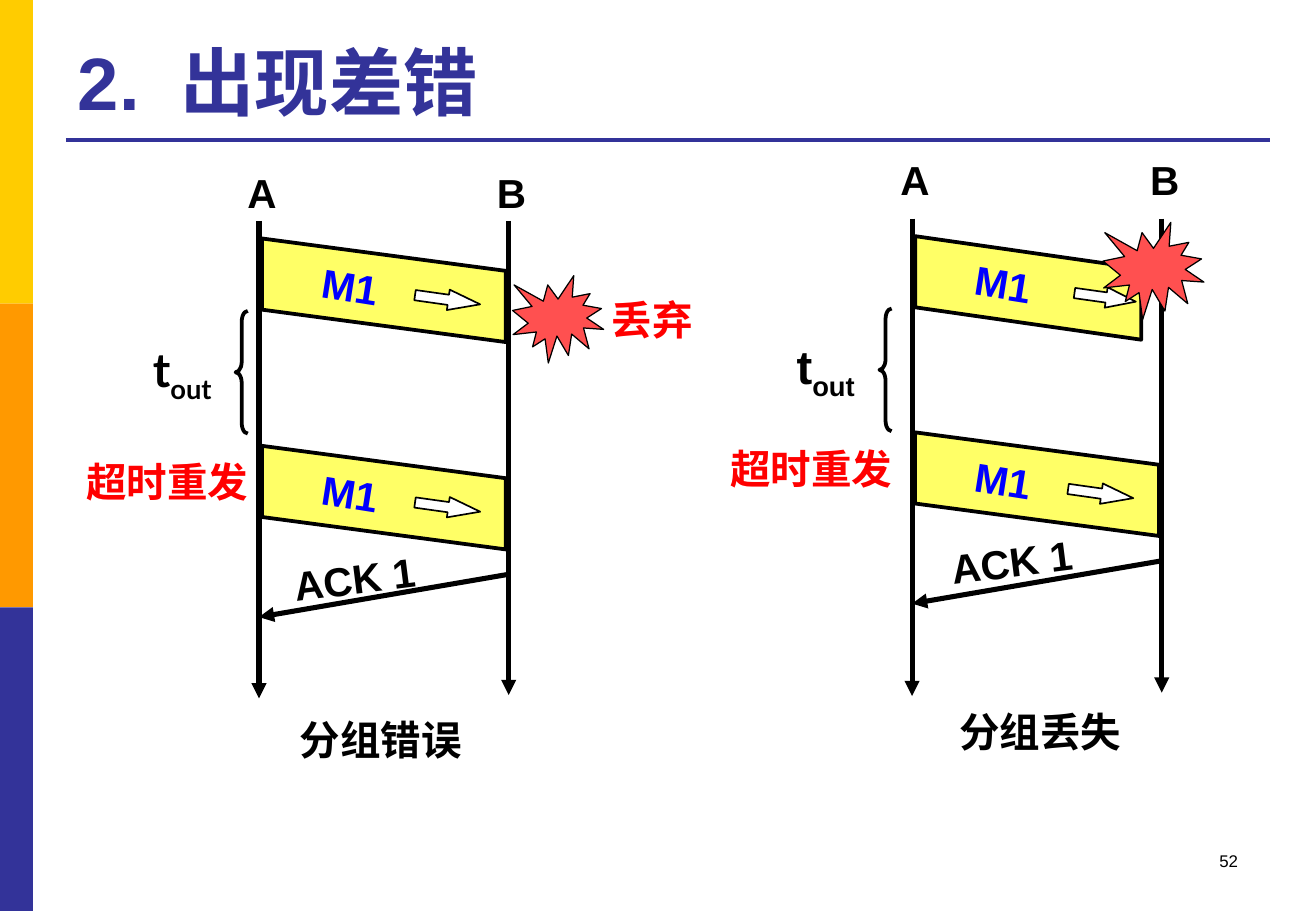
"""Build the slide on packet errors and losses in stop-and-wait transfer."""
from lxml.etree import SubElement
from pptx import Presentation
from pptx.dml.color import RGBColor
from pptx.enum.shapes import MSO_CONNECTOR, MSO_SHAPE
from pptx.enum.text import MSO_ANCHOR, MSO_AUTO_SIZE, PP_ALIGN
from pptx.oxml.ns import qn
from pptx.util import Pt

COLORS = {
    "black": "000000", "white": "FFFFFF", "navy": "333399", "gold": "FFCC00",
    "orange": "FF9900", "packet": "FFFF66", "message": "0000FF",
    "alert": "FF0000", "burst": "FF5050",
}
LATIN = "Arial"
CHINESE = "Noto Sans CJK SC"


def rgb(name):
    """Return the named colour."""
    return RGBColor.from_string(COLORS[name])


def add_text(slide, text, left, top, width, height, *, size=24, color="black",
             bold=True, font=LATIN, align=PP_ALIGN.LEFT, anchor=MSO_ANCHOR.TOP,
             rotation=0, wrap=False, subscript="", tab=None):
    """Add a text box, with an optional subscript and tab stop."""
    box = slide.shapes.add_textbox(Pt(left), Pt(top), Pt(width), Pt(height))
    box.rotation = rotation
    frame = box.text_frame
    frame.word_wrap = wrap
    frame.auto_size = MSO_AUTO_SIZE.NONE if wrap else MSO_AUTO_SIZE.SHAPE_TO_FIT_TEXT
    frame.vertical_anchor = anchor
    paragraph = frame.paragraphs[0]
    paragraph.alignment = align
    if tab:
        stops = SubElement(paragraph._p.get_or_add_pPr(), qn("a:tabLst"))
        SubElement(stops, qn("a:tab"), pos=str(Pt(tab)), algn="l")
    for part, baseline in ((text, None), (subscript, "-25000")):
        if not part:
            continue
        run = paragraph.add_run()
        run.text = part
        run.font.size = Pt(size)
        run.font.bold = bold
        run.font.name = font
        run.font.color.rgb = rgb(color)
        properties = run._r.get_or_add_rPr()
        SubElement(properties, qn("a:ea"), typeface=CHINESE)
        if baseline:
            properties.set("baseline", baseline)


def paint(shape, fill, outline):
    """Set fill and outline width, either of which may be None."""
    shape.shadow.inherit = False
    if fill:
        shape.fill.solid()
        shape.fill.fore_color.rgb = rgb(fill)
    else:
        shape.fill.background()
    if outline:
        shape.line.color.rgb = rgb("black")
        shape.line.width = Pt(outline)
    else:
        shape.line.fill.background()


def add_figure(slide, preset, left, top, width, height, *, fill=None,
               outline=None, rotation=0, adjustments=()):
    """Add a preset shape."""
    figure = slide.shapes.add_shape(preset, Pt(left), Pt(top), Pt(width), Pt(height))
    figure.rotation = rotation
    for index, value in enumerate(adjustments):
        figure.adjustments[index] = value
    paint(figure, fill, outline)


def add_line(slide, x1, y1, x2, y2, *, color="black", width=3, arrow=True):
    """Add a straight line, with an arrowhead at its end if wanted."""
    line = slide.shapes.add_connector(
        MSO_CONNECTOR.STRAIGHT, Pt(x1), Pt(y1), Pt(x2), Pt(y2))
    line.line.color.rgb = rgb(color)
    line.line.width = Pt(width)
    if arrow:
        SubElement(line.line._get_or_add_ln(), qn("a:tailEnd"), type="triangle")
    SubElement(line._element.spPr, qn("a:effectLst"))


def add_packet(slide, left, top, *, width=144.5, arrow_left=90.5,
               arrow_width=39, arrow_tip=1.565):
    """Add a slanted packet M1 with its direction arrow."""
    right, slant, side = left + width, 19.2, 42.2
    builder = slide.shapes.build_freeform(Pt(left), Pt(top), scale=1.0)
    builder.add_line_segments([
        (Pt(right), Pt(top + slant)), (Pt(right), Pt(top + slant + side)),
        (Pt(left), Pt(top + side))], close=True)
    paint(builder.convert_to_shape(), "packet", 2.25)
    add_figure(slide, MSO_SHAPE.RIGHT_ARROW, left + arrow_left, top + 30.2,
               arrow_width, 12.2, fill="white", outline=1, rotation=8,
               adjustments=(0.5, arrow_tip))
    add_text(slide, "M1", left + 28.5, top + 10.1, 48.2, 36,
             color="message", rotation=9)


def add_exchange(slide, caption, *, left, top, names_top, resend_top, timer_left,
                 timer_width, timer_font, resend_font, ack_at, caption_at,
                 first_packet):
    """Add one exchange between A and B with timeout and resend."""
    span = 148
    for name, x, length in (("A", left, 283), ("B", left + span, 281)):
        add_line(slide, x, top, x, top + length)
        add_text(slide, name, x - 14, names_top, 31.7, 36)
    add_packet(slide, left + 1.8, top + 10.4, **first_packet)
    add_packet(slide, left + 1.8, resend_top)
    add_line(slide, left + span - 1, resend_top + 76.3, left, resend_top + 101.5)
    add_text(slide, "ACK 1", *ack_at, 87.1, 36.7, rotation=352.8)
    add_text(slide, "超时重发", timer_left - 95.5, resend_top + 3.3, 110.9, 36,
             color="alert", font=resend_font)
    add_figure(slide, MSO_SHAPE.LEFT_BRACE, timer_left, top + 53.3, 7.2, 72.7,
               outline=2.25, adjustments=(0.869, 0.5))
    add_text(slide, "t", timer_left - 56.2, top + 67, timer_width, 41,
             size=28, font=timer_font, subscript="out")
    add_text(slide, caption, *caption_at, 112.3, 36)


def add_burst(slide, left, top, width, height):
    """Mark the place where a packet fails."""
    add_figure(slide, MSO_SHAPE.EXPLOSION1, left, top, width, height,
               fill="burst", outline=0.75)


def add_frame(slide):
    """Add the side bands, title, rule and page number."""
    for index, band in enumerate(("gold", "orange", "navy")):
        add_figure(slide, MSO_SHAPE.RECTANGLE, 0, index * 180, 19.5, 180, fill=band)
    add_line(slide, 39, 82.8, 753, 82.8, color="navy", width=2.25, arrow=False)
    add_text(slide, "2.\t出现差错", 39, 15, 713.5, 62.7, size=44, color="navy",
             anchor=MSO_ANCHOR.BOTTOM, wrap=True, tab=61)
    add_text(slide, "52", 558.7, 500.4, 182.2, 36, size=10, bold=False,
             align=PP_ALIGN.RIGHT, wrap=True)


def main():
    """Build and save the slide."""
    deck = Presentation()
    deck.slide_width, deck.slide_height = Pt(780), Pt(540)
    slide = deck.slides.add_slide(deck.slide_layouts[6])
    add_frame(slide)
    add_exchange(slide, "分组错误", left=153.5, top=131, names_top=95.8,
                 resend_top=264.3, timer_left=139.7, timer_width=57.6,
                 timer_font="Lato", resend_font=CHINESE, ack_at=(167, 324.7),
                 caption_at=(170.6, 420.5), first_packet={})
    add_text(slide, "丢弃", 355, 171.4, 63.4, 36, color="alert",
             align=PP_ALIGN.CENTER)
    add_burst(slide, 303.8, 163.4, 54, 51.8)
    add_exchange(slide, "分组丢失", left=540.6, top=129.6, names_top=88.6,
                 resend_top=256.3, timer_left=521.3, timer_width=53.3,
                 timer_font=LATIN, resend_font=LATIN, ack_at=(556.6, 314.6),
                 caption_at=(561.6, 415.4),
                 first_packet={"width": 134, "arrow_left": 94.3,
                               "arrow_width": 36.7, "arrow_tip": 1.455})
    add_burst(slide, 653.8, 131.8, 59.8, 57.6)
    deck.save("out.pptx")


if __name__ == "__main__":
    main()
